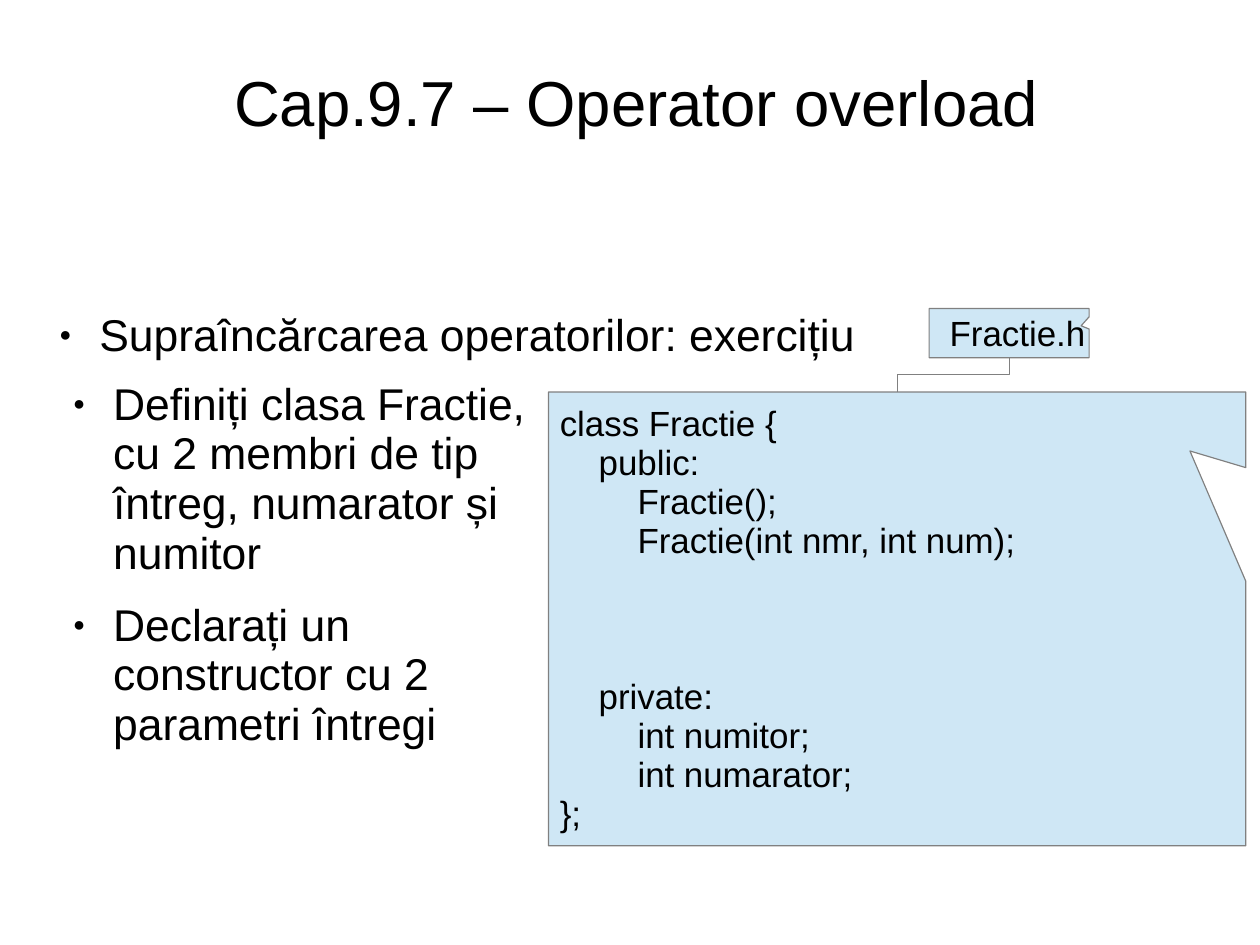
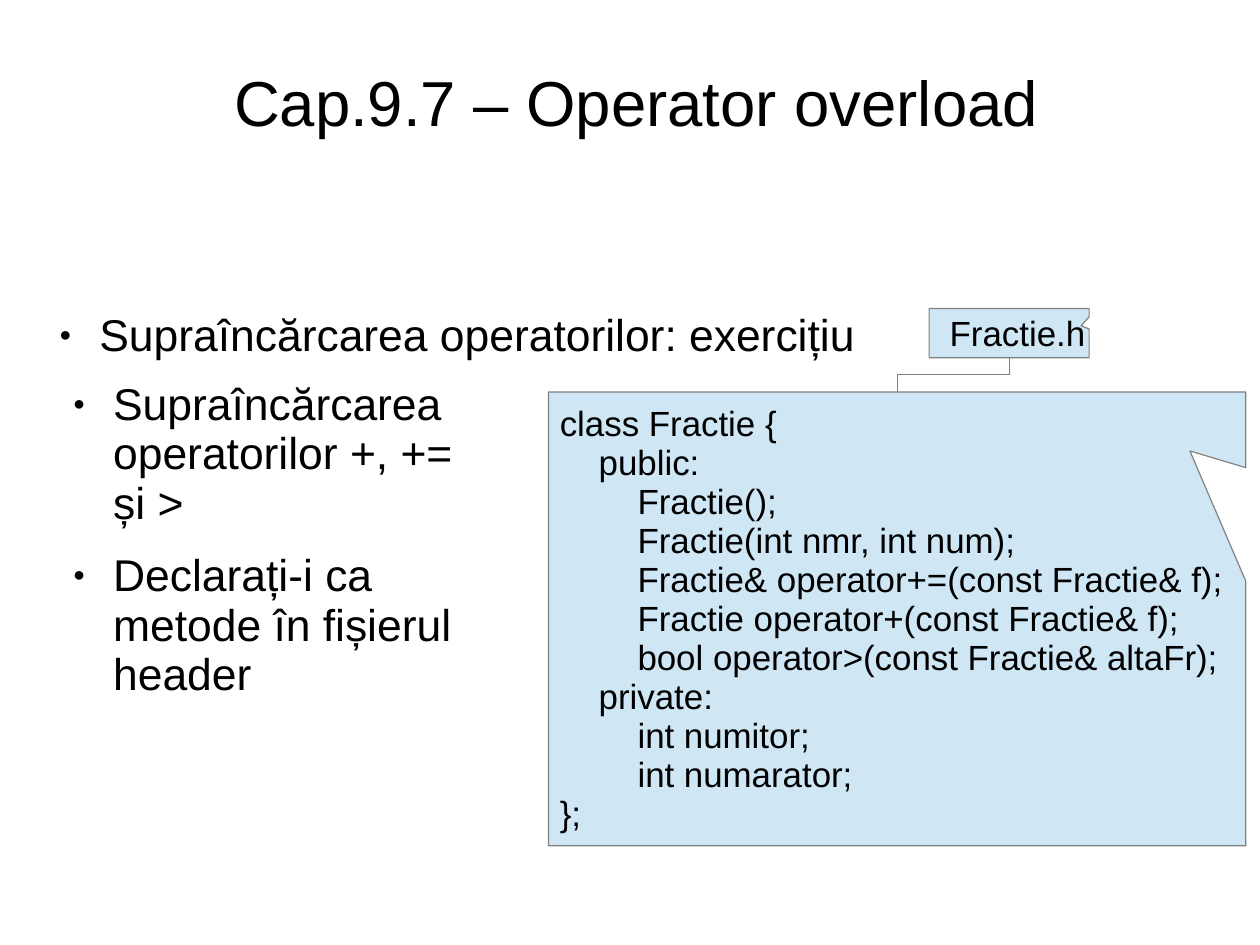
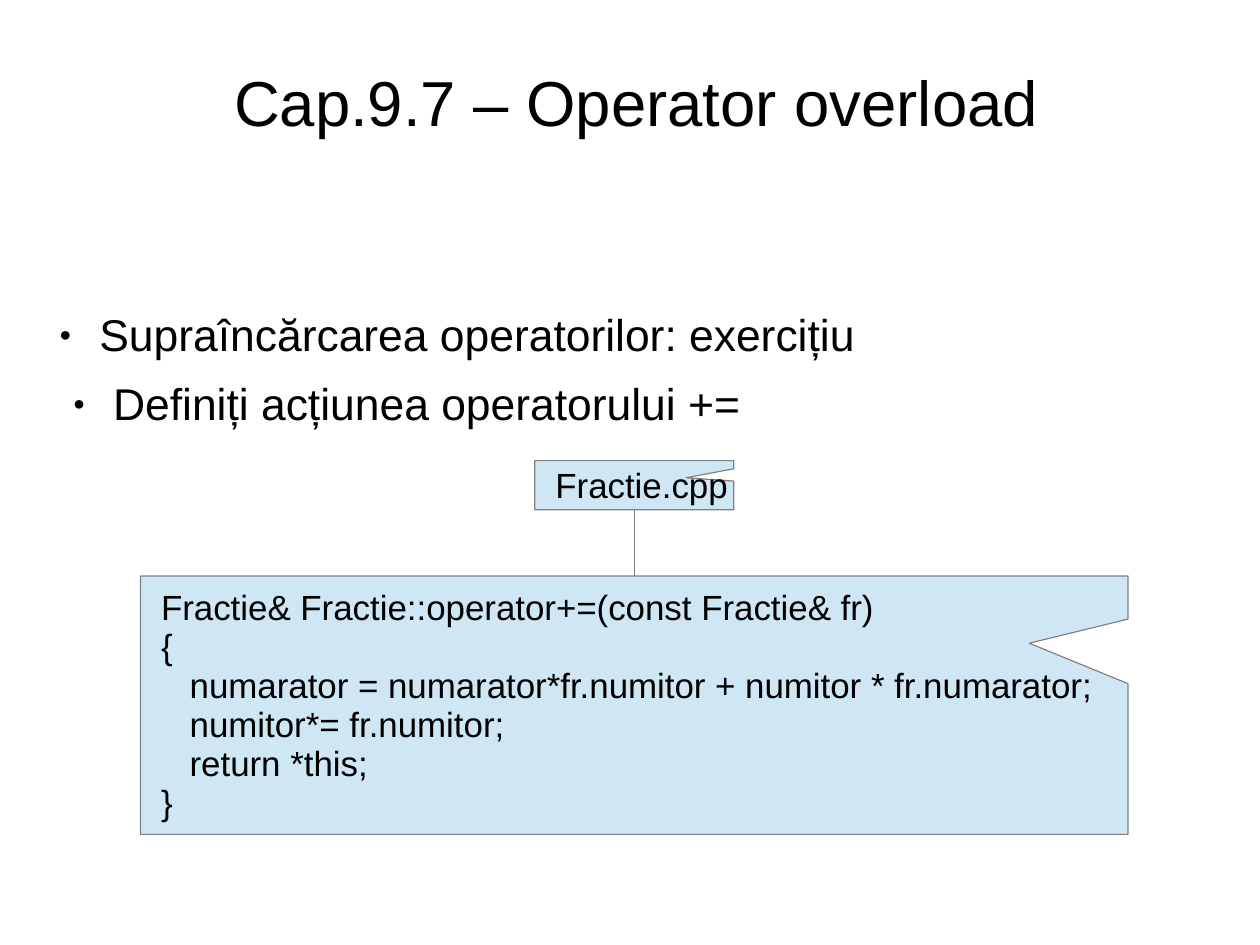
from lxml import etree
from pptx import Presentation
from pptx.dml.color import RGBColor
from pptx.enum.shapes import MSO_CONNECTOR as Connector, MSO_SHAPE as Shape
from pptx.enum.text import MSO_ANCHOR as Anchor, PP_ALIGN as Align
from pptx.oxml.ns import qn
from pptx.util import Inches, Pt

# Shared style
FONT = "Arial"
INK, PANEL, GREY = "000000", "CFE7F5", "808080"
LINE_SPACING = 0.93
TITLE_SIZE, BODY_SIZE, CODE_SIZE = 40, 28, 22
TITLE = "Cap.9.7 – Operator overload"
HEADING = "Supraîncărcarea operatorilor: exercițiu"
TITLE_BOX = (0.36, 0.28, 10.41, 1.24)
HEADING_BOX = (0.4, 2.7, 7.2, 0.6)
SECTION_GAP = 73.7  # room of three code lines, in points


def color(value):
    return RGBColor.from_string(value)


def set_frame(frame, insets, anchor, wrap=True):
    frame.margin_left, frame.margin_top, frame.margin_right, frame.margin_bottom = map(
        Inches, insets)
    frame.vertical_anchor = anchor
    frame.word_wrap = wrap


def add_paragraph(frame, index, text, size, align=Align.LEFT):
    paragraph = frame.add_paragraph() if index else frame.paragraphs[0]
    paragraph.alignment = align
    paragraph.line_spacing = LINE_SPACING
    run = paragraph.add_run()
    run.text = text
    run.font.name, run.font.size = FONT, Pt(size)
    run.font.color.rgb = color(INK)
    return paragraph


def add_bullet(paragraph):
    paragraph.space_after = Pt(14.1)
    properties = paragraph._p.get_or_add_pPr()
    properties.set("marL", str(Inches(0.47)))
    properties.set("indent", str(Inches(-0.35)))
    bullet_color = etree.SubElement(properties, qn("a:buClr"))
    etree.SubElement(bullet_color, qn("a:srgbClr"), val=INK)
    etree.SubElement(properties, qn("a:buSzPct"), val="45000")
    etree.SubElement(properties, qn("a:buFont"), typeface=FONT)
    etree.SubElement(properties, qn("a:buChar"), char="●")


def add_title(slide, box):
    frame = slide.shapes.add_textbox(*map(Inches, box)).text_frame
    set_frame(frame, (0, 0.04, 0, 0), Anchor.MIDDLE)
    add_paragraph(frame, 0, TITLE, TITLE_SIZE, Align.CENTER)


def add_bullets(slide, box, texts):
    frame = slide.shapes.add_textbox(*map(Inches, box)).text_frame
    set_frame(frame, (0, 0.03, 0, 0), Anchor.TOP)
    for index, text in enumerate(texts):
        add_bullet(add_paragraph(frame, index, text, BODY_SIZE))


def add_callout(slide, box, tip, lines, inset, step=0.0):
    """Callout holding code lines given as (level, text) or (level, text, space before)."""
    shape = slide.shapes.add_shape(Shape.RECTANGULAR_CALLOUT, *map(Inches, box))
    shape.shadow.inherit = False
    shape.adjustments[0], shape.adjustments[1] = tip
    shape.fill.solid()
    shape.fill.fore_color.rgb = color(PANEL)
    shape.line.color.rgb = color(GREY)
    shape.line.width = Pt(0.75)
    set_frame(shape.text_frame, (inset, 0.07, 0, 0.05), Anchor.MIDDLE, wrap=False)
    for index, (level, text, *space) in enumerate(lines):
        paragraph = add_paragraph(shape.text_frame, index, text, CODE_SIZE)
        if space:
            paragraph.space_before = Pt(space[0])
        properties = paragraph._p.get_or_add_pPr()
        properties.set("marL", str(Inches(level * step)))
        properties.set("indent", "0")
    return shape


def connect_down(slide, upper, lower):
    """Elbow from the bottom centre of upper to the top centre of lower."""
    start_x, start_y = upper.left + upper.width // 2, upper.top + upper.height
    end_x, end_y = lower.left + lower.width // 2, lower.top
    connector = slide.shapes.add_connector(Connector.ELBOW, start_x, start_y, end_x, end_y)
    connector.begin_connect(upper, 2)
    connector.end_connect(lower, 0)
    # The elbow is turned by 90 degrees so that it leaves vertically
    drop, shift = end_y - start_y, abs(start_x - end_x)
    connector.left = (start_x + end_x - drop) // 2
    connector.top = (start_y + end_y - shift) // 2
    connector.width, connector.height = drop, shift
    properties = connector._element.spPr
    frame = properties.find(qn("a:xfrm"))
    frame.set("rot", "5400000")
    for flip in ("flipH", "flipV"):
        frame.attrib.pop(flip, None)
    connector.line.color.rgb = color(GREY)
    connector.line.width = Pt(0.75)
    etree.SubElement(properties, qn("a:effectLst"))


def add_lesson(presentation, bullets_box, bullets):
    slide = presentation.slides.add_slide(presentation.slide_layouts[6])
    add_title(slide, TITLE_BOX)
    add_bullets(slide, HEADING_BOX, [HEADING])
    add_bullets(slide, bullets_box, bullets)
    return slide


def add_header_file(slide, operators):
    members_gap = () if operators else (SECTION_GAP,)
    lines = [
        (0, "class Fractie {"),
        (1, "public:"),
        (2, "Fractie();"),
        (2, "Fractie(int nmr, int num);"),
        *((2, operator) for operator in operators),
        (1, "private:", *members_gap),
        (2, "int numitor;"),
        (2, "int numarator;"),
        (0, "};"),
    ]
    label = add_callout(slide, (8.13, 2.7, 1.4, 0.43), (0.45, -0.15),
                        [(0, "Fractie.h")], 0.18)
    code = add_callout(slide, (4.8, 3.43, 6.1, 3.97), (0.42, -0.37), lines, 0.1, 0.34)
    connect_down(slide, label, code)


def add_source_file(slide):
    lines = [
        (0, "Fractie& Fractie::operator+=(const Fractie& fr)"),
        (0, "{"),
        (1, "numarator = numarator*fr.numitor + numitor * fr.numarator;"),
        (1, "numitor*= fr.numitor;"),
        (1, "return *this;"),
        (0, "}"),
    ]
    label = add_callout(slide, (4.68, 4.03, 1.74, 0.43), (0.26, -0.15),
                        [(0, "Fractie.cpp")], 0.18)
    code = add_callout(slide, (1.23, 5.04, 8.64, 2.26), (0.4, -0.24), lines, 0.18, 0.25)
    connect_down(slide, label, code)


def main():
    presentation = Presentation()
    # 28 by 21 cm page, in points
    presentation.slide_width, presentation.slide_height = Pt(793.75), Pt(595.25)

    # Class declaration
    slide = add_lesson(presentation, (0.52, 3.3, 4.38, 3.5), [
        "Definiți clasa Fractie, cu 2 membri de tip întreg, numarator și numitor",
        "Declarați un constructor cu 2 parametri întregi",
    ])
    add_header_file(slide, [])

    # Operator declarations
    slide = add_lesson(presentation, (0.52, 3.3, 3.58, 2.79), [
        "Supraîncărcarea operatorilor +, += și >",
        "Declarați-i ca metode în fișierul header",
    ])
    add_header_file(slide, [
        "Fractie& operator+=(const Fractie& f);",
        "Fractie operator+(const Fractie& f);",
        "bool operator>(const Fractie& altaFr);",
    ])

    # Operator definition
    slide = add_lesson(presentation, (0.52, 3.3, 9.98, 0.7),
                       ["Definiți acțiunea operatorului +="])
    add_source_file(slide)

    presentation.save("out.pptx")


if __name__ == "__main__":
    main()
